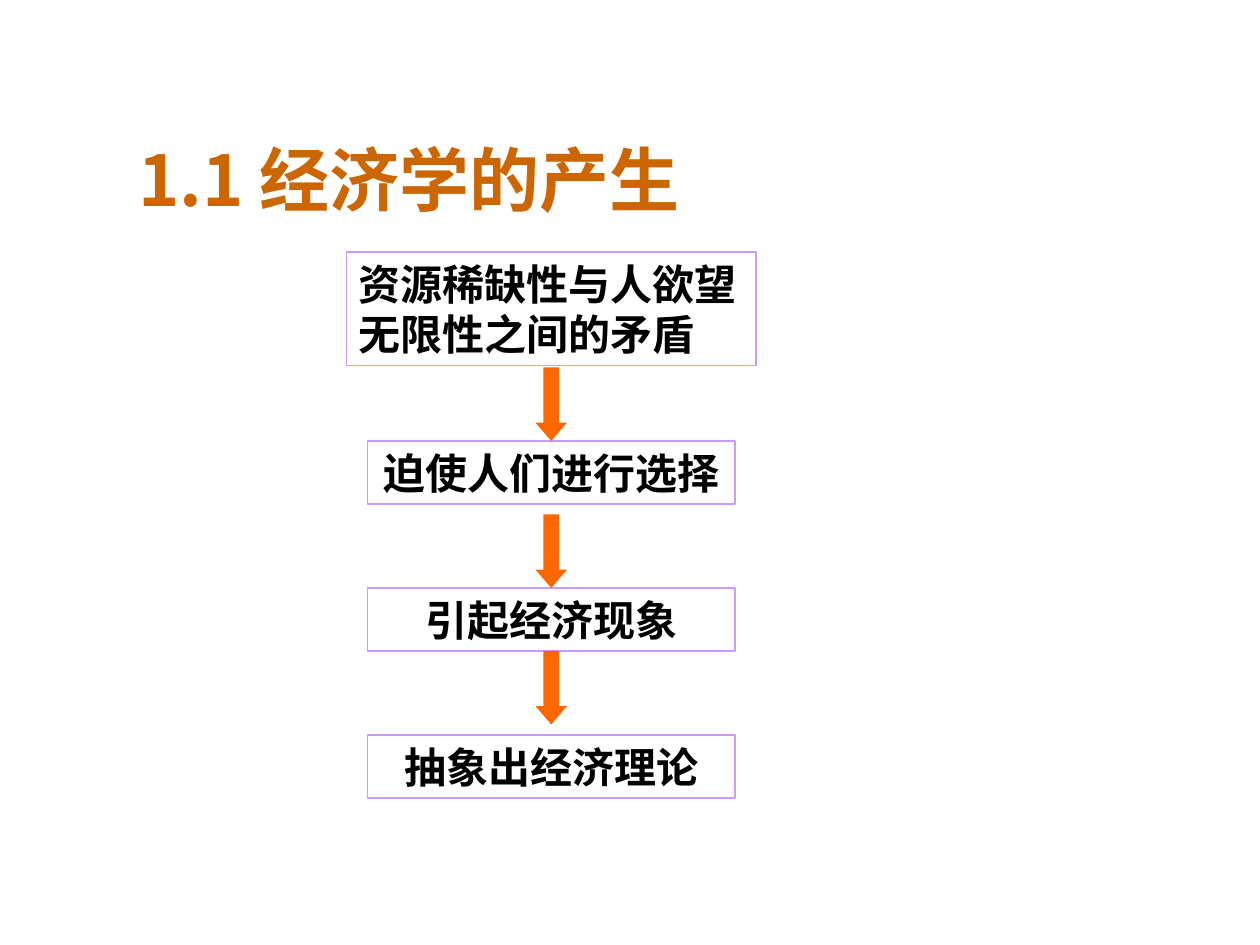
from dataclasses import dataclass
from lxml.etree import SubElement
from pptx import Presentation
from pptx.dml.color import RGBColor
from pptx.enum.shapes import MSO_SHAPE
from pptx.enum.text import MSO_ANCHOR, PP_ALIGN
from pptx.oxml.ns import qn
from pptx.util import Inches, Pt


@dataclass(frozen=True)
class Theme:
    font: str = "Noto Sans CJK SC"
    title: str = "CC6600"
    ink: str = "000000"
    paper: str = "FFFFFF"
    edge: str = "CC99FF"
    arrow: str = "FF6600"
    head: int = 40
    body: int = 24
    lead: float = 28.8
    rule: float = 0.75


class Deck:
    def __init__(self, theme):
        self.theme = theme
        self.show = Presentation()
        self.show.slide_width = Inches(10)
        self.show.slide_height = Inches(7.5)
        self.cell = self.show.slide_width / 120
        self.slide = self.show.slides.add_slide(self.show.slide_layouts[6])

    def place(self, *cells):
        return [round(n * self.cell) for n in cells]

    def label(self, shape, text, size, color, anchor, align):
        frame = shape.text_frame
        frame.word_wrap = True
        frame.vertical_anchor = anchor
        para = frame.paragraphs[0]
        para.alignment = align
        run = para.add_run()
        run.text = text
        font = run.font
        font.name = self.theme.font
        font.size = Pt(size)
        font.bold = True
        font.color.rgb = RGBColor.from_string(color)
        SubElement(font._element, qn("a:ea"), typeface=self.theme.font)
        return para

    def form(self, kind, area, fill):
        shape = self.slide.shapes.add_shape(kind, *self.place(*area))
        shape.shadow.inherit = False
        shape.fill.solid()
        shape.fill.fore_color.rgb = RGBColor.from_string(fill)
        return shape

    def title(self, area, text):
        box = self.slide.shapes.add_textbox(*self.place(*area))
        self.label(box, text, self.theme.head, self.theme.title,
                   MSO_ANCHOR.BOTTOM, PP_ALIGN.LEFT)

    def box(self, area, text, align=PP_ALIGN.CENTER):
        shape = self.form(MSO_SHAPE.RECTANGLE, area, self.theme.paper)
        shape.line.color.rgb = RGBColor.from_string(self.theme.edge)
        shape.line.width = Pt(self.theme.rule)
        para = self.label(shape, text, self.theme.body, self.theme.ink,
                          MSO_ANCHOR.MIDDLE, align)
        para.line_spacing = Pt(self.theme.lead)

    def arrow(self, area):
        shape = self.form(MSO_SHAPE.DOWN_ARROW, area, self.theme.arrow)
        shape.line.fill.background()
        shape.adjustments[0] = 0.5
        shape.adjustments[1] = 0.58


def main():
    deck = Deck(Theme())
    deck.title((12, 12, 99, 9.6), "1.1 经济学的产生")
    deck.box((33, 24, 39, 10.8), "资源稀缺性与人欲望无限性之间的矛盾", PP_ALIGN.LEFT)
    steps = ["迫使人们进行选择", "引起经济现象", "抽象出经济理论"]
    for i, step in enumerate(steps):
        deck.box((35, 42 + 14 * i, 35, 6), step)
    for row in (35, 49, 62):
        deck.arrow((51, row, 3, 7))
    deck.show.save("out.pptx")


if __name__ == "__main__":
    main()
